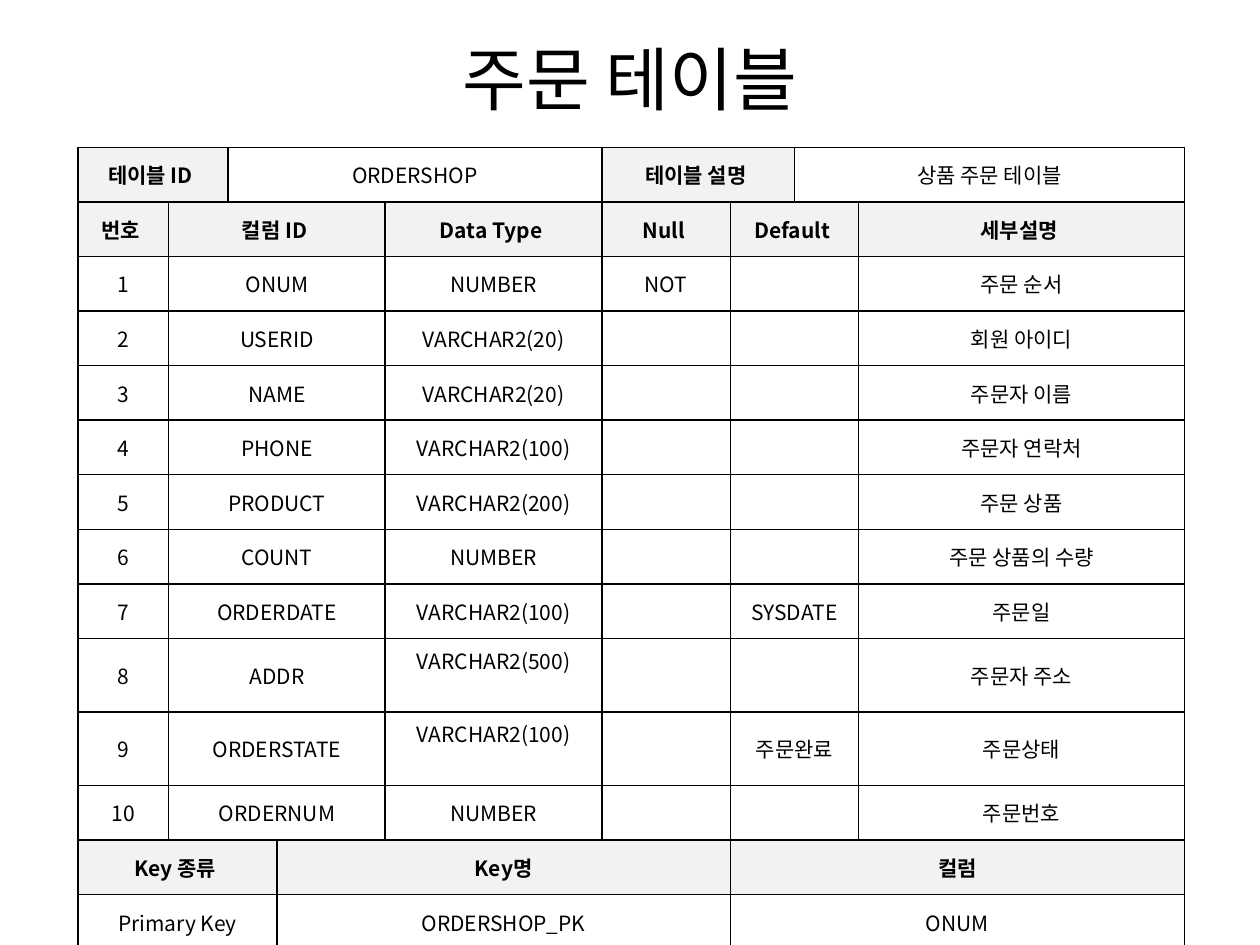
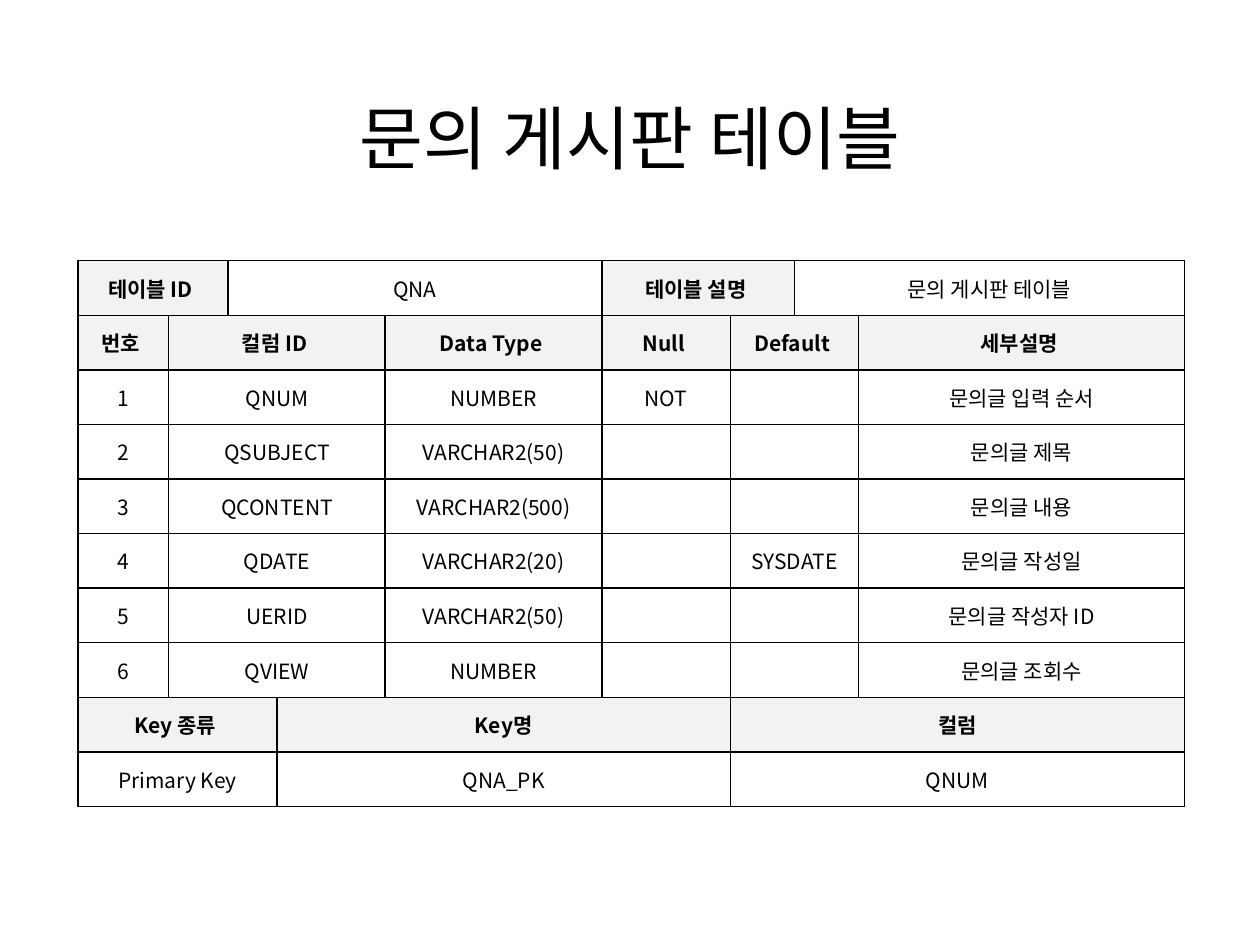
from dataclasses import dataclass
from pptx import Presentation
from pptx.dml.color import RGBColor as RGB
from pptx.enum.text import MSO_ANCHOR as Anchor, MSO_AUTO_SIZE as AutoSize, PP_ALIGN as Align
from pptx.oxml import parse_xml
from pptx.oxml.ns import nsdecls
from pptx.util import Pt


@dataclass(frozen=True)
class Theme:
    font: str = "Noto Sans CJK KR"
    ink: str = "000000"
    header_fill: str = "F2F2F2"
    title_size: float = 39.6
    cell_size: float = 12
    border_width: float = 1


@dataclass(frozen=True)
class Box:
    left: float
    top: float
    width: float
    height: float


THEME = Theme()
PAGE_WIDTH, PAGE_HEIGHT = 720, 540
TITLE_LEFT, TITLE_WIDTH, TITLE_HEIGHT = 36, 648, 46
TABLE_LEFT = 44.6
COLUMN_WIDTHS = (51.8, 33.8, 28.1, 61.9, 123.8, 73.4, 36.7, 36.7, 186.2)
ROW_HEIGHT = 31.2
RAISED_MARGIN = 21  # bottom margin that lifts the text and makes its row taller

# How many grid columns each cell of a row covers
ID_SPANS = (2, 3, 2, 2)
FIELD_SPANS = (1, 3, 1, 1, 2, 1)
KEY_SPANS = (3, 3, 3)

FIELD_HEADERS = ("번호 ", "컬럼 ID ", "Data Type ", "Null ", "Default ", "세부설명 ")
KEY_HEADERS = ("Key 종류 ", "Key명", "컬럼")

# Column ID, data type, null, default, description
ORDER_FIELDS = (
    ("ONUM", "NUMBER", "NOT", "", "주문 순서"),
    ("USERID", "VARCHAR2(20)", "", "", "회원 아이디"),
    ("NAME", "VARCHAR2(20)", "", "", "주문자 이름"),
    ("PHONE", "VARCHAR2(100)", "", "", "주문자 연락처"),
    ("PRODUCT", "VARCHAR2(200)", "", "", "주문 상품"),
    ("COUNT", "NUMBER", "", "", "주문 상품의 수량"),
    ("ORDERDATE", "VARCHAR2(100)", "", "SYSDATE", "주문일"),
    ("ADDR", "VARCHAR2(500)", "", "", "주문자 주소"),
    ("ORDERSTATE", "VARCHAR2(100)", "", "주문완료", "주문상태"),
    ("ORDERNUM", "NUMBER", "", "", "주문번호"),
)
QNA_FIELDS = (
    ("QNUM", "NUMBER", "NOT", "", "문의글 입력 순서"),
    ("QSUBJECT", "VARCHAR2(50)", "", "", "문의글 제목"),
    ("QCONTENT", "VARCHAR2(500)", "", "", "문의글 내용"),
    ("QDATE", "VARCHAR2(20)", "", "SYSDATE", "문의글 작성일"),
    ("UERID", "VARCHAR2(50)", "", "", "문의글 작성자 ID"),
    ("QVIEW", "NUMBER", "", "", "문의글 조회수"),
)


def write_line(frame, text, size, bold=False):
    para = frame.paragraphs[0]
    para.alignment = Align.CENTER
    font = para.font
    font.name, font.size, font.bold = THEME.font, Pt(size), bold
    font.color.rgb = RGB.from_string(THEME.ink)
    font._element.get_or_change_to_solidFill()
    east_asian = parse_xml(f'<a:ea {nsdecls("a")} typeface="{THEME.font}"/>')
    font._element.append(east_asian)
    if text:
        para.add_run().text = text
    else:
        # An empty line takes its height from its end mark
        end_mark = f'<a:endParaRPr {nsdecls("a")} sz="{round(size * 100)}"/>'
        para._p.append(parse_xml(end_mark))


def draw_borders(cell):
    properties = cell._tc.get_or_add_tcPr()
    for side in "LRTB":
        properties.append(parse_xml(
            f'<a:ln{side} {nsdecls("a")} w="{Pt(THEME.border_width)}"><a:solidFill>'
            f'<a:srgbClr val="{THEME.ink}"/></a:solidFill></a:ln{side}>'))


def fill_row(table, row, spans, texts, header_cells=()):
    """Merge a row by its spans and write one text into each merged cell."""
    column = 0
    for index, (span, text) in enumerate(zip(spans, texts)):
        cell = table.cell(row, column)
        is_header = index in header_cells
        if span > 1:
            cell.merge(table.cell(row, column + span - 1))
        for covered in range(column, column + span):
            part = table.cell(row, covered)
            draw_borders(part)
            if is_header:
                part.fill.solid()
                part.fill.fore_color.rgb = RGB.from_string(THEME.header_fill)
            else:
                part.fill.background()
        cell.vertical_anchor = Anchor.MIDDLE
        write_line(cell.text_frame, text, THEME.cell_size, is_header)
        column += span


def add_title(page, box, text):
    title = page.shapes.title
    title.left, title.top = Pt(box.left), Pt(box.top)
    title.width, title.height = Pt(box.width), Pt(box.height)
    frame = title.text_frame
    frame.word_wrap, frame.auto_size = True, AutoSize.NONE
    frame.vertical_anchor = Anchor.MIDDLE
    write_line(frame, text, THEME.title_size)


def add_definition_table(page, box, name, description, fields, raised):
    row_count = len(fields) + 4
    table = page.shapes.add_table(
        row_count, len(COLUMN_WIDTHS), Pt(box.left), Pt(box.top),
        Pt(box.width), Pt(box.height)).table
    table.first_row = table.horz_banding = False
    for column, width in zip(table.columns, COLUMN_WIDTHS):
        column.width = Pt(width)
    for row in table.rows:
        row.height = Pt(box.height / row_count)

    fill_row(table, 0, ID_SPANS, ("테이블 ID ", name, "테이블 설명 ", description), (0, 2))
    fill_row(table, 1, FIELD_SPANS, FIELD_HEADERS, range(6))
    for number, field in enumerate(fields, 1):
        fill_row(table, number + 1, FIELD_SPANS, (str(number), *field))
        if field[0] in raised:
            table.cell(number + 1, 4).margin_bottom = Pt(RAISED_MARGIN)
    fill_row(table, row_count - 2, KEY_SPANS, KEY_HEADERS, range(3))
    fill_row(table, row_count - 1, KEY_SPANS, ("Primary Key", f"{name}_PK", fields[0][0]))


def add_definition_page(deck, title, title_top, table_top, name, description, fields, raised=()):
    page = deck.slides.add_slide(deck.slide_layouts[5])
    add_title(page, Box(TITLE_LEFT, title_top, TITLE_WIDTH, TITLE_HEIGHT), title)
    table_box = Box(TABLE_LEFT, table_top, sum(COLUMN_WIDTHS), ROW_HEIGHT * (len(fields) + 4))
    add_definition_table(page, table_box, name, description, fields, raised)


def main():
    deck = Presentation()
    deck.slide_width, deck.slide_height = Pt(PAGE_WIDTH), Pt(PAGE_HEIGHT)
    add_definition_page(deck, "주문 테이블", 21.6, 84.2, "ORDERSHOP", "상품 주문 테이블",
                        ORDER_FIELDS, raised=("ADDR", "ORDERSTATE"))
    add_definition_page(deck, "문의 게시판 테이블", 55.4, 149, "QNA", "문의 게시판 테이블",
                        QNA_FIELDS)
    deck.save("out.pptx")


if __name__ == "__main__":
    main()
